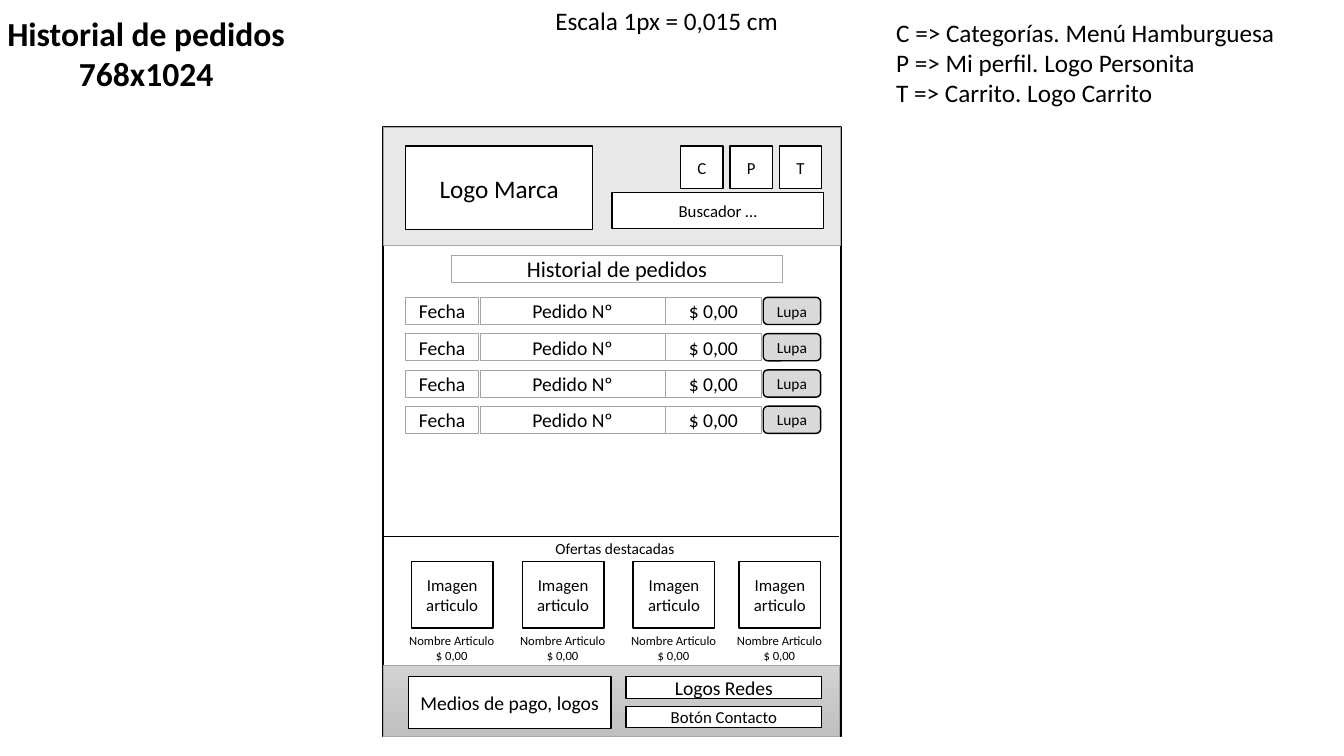
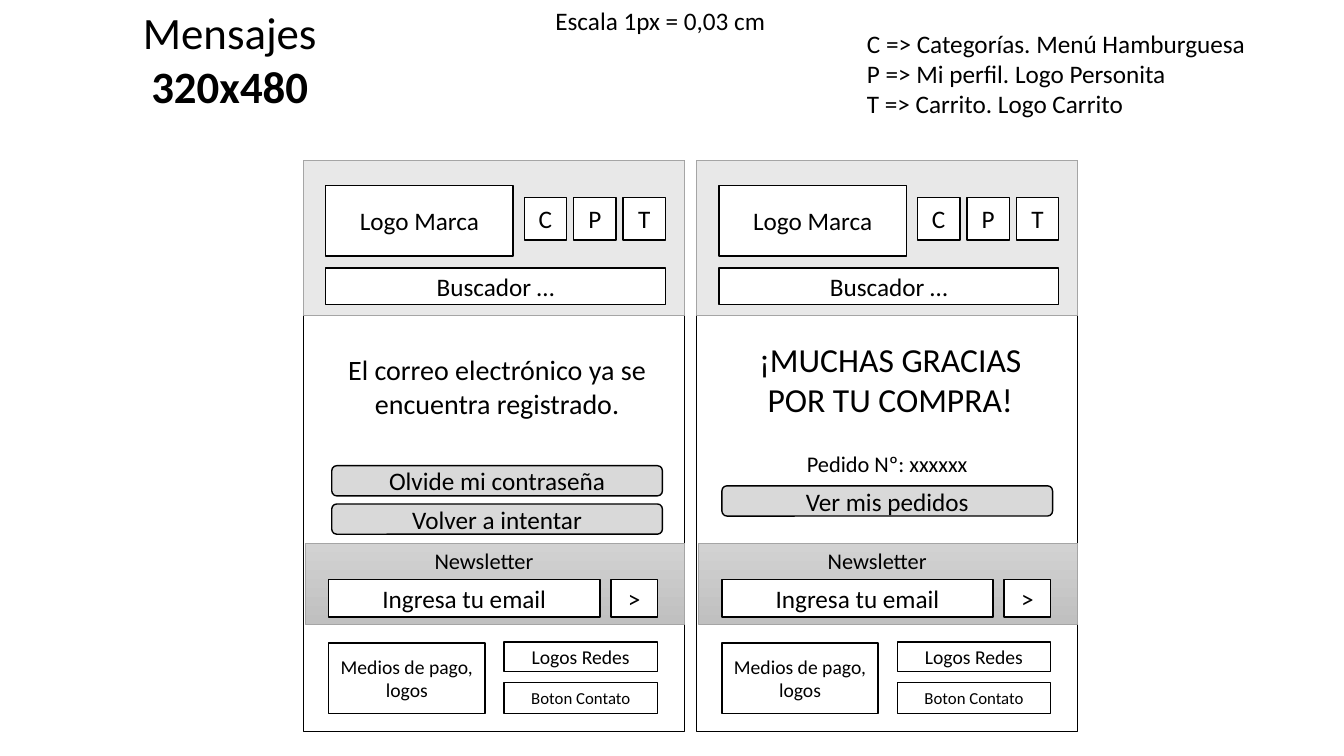
from lxml import etree
from pptx import Presentation
from pptx.dml.color import RGBColor
from pptx.enum.shapes import MSO_CONNECTOR, MSO_SHAPE
from pptx.enum.text import MSO_ANCHOR, PP_ALIGN
from pptx.oxml.ns import qn
from pptx.util import Inches, Pt

RECT, ROUND = MSO_SHAPE.RECTANGLE, MSO_SHAPE.ROUNDED_RECTANGLE
STRAIGHT = MSO_CONNECTOR.STRAIGHT
LEFT, CENTER = PP_ALIGN.LEFT, PP_ALIGN.CENTER
TOP, MIDDLE = MSO_ANCHOR.TOP, MSO_ANCHOR.MIDDLE

FONT = "Calibri"
COLORS = {"ink": "000000", "paper": "FFFFFF", "gray": "D9D9D9",
          "edge": "A5A5A5", "light": "D2D2D2", "dark": "C0C0C0"}

# look: shape, fill, line colour, line width
LOOKS = {
    "box": (RECT, "paper", "ink", 1),
    "cell": (RECT, "paper", "edge", 0.5),
    "button": (ROUND, "gray", "ink", 1),
    "header": (RECT, "gray", "edge", 0.5),
    "band": (RECT, None, "edge", 0.5),
}
HEADER_ALPHA = 58

LEGEND = ["C => Categorías. Menú Hamburguesa",
          "P => Mi perfil. Logo Personita",
          "T => Carrito. Logo Carrito"]
ICONS = "CPT"
ICON_SIDE, ICON_STEP = 0.42, 0.49

# Parts: text, (left, top, width, height), size
TABLET = [
    ("Logo Marca", (4.02, 1.45, 1.86, 0.83), 18),
    ("Buscador …", (6.07, 1.91, 2.1, 0.36), 12),
    ("Medios de pago, logos", (4.05, 6.71, 2.01, 0.52), 14),
    ("Logos Redes", (6.21, 6.71, 1.94, 0.22), 14),
    ("Botón Contacto", (6.21, 7.01, 1.94, 0.21), 12),
]
# Order columns: text, left, width, size, look
ORDER = [
    ("Fecha", 4.02, 0.73, 14, "cell"),
    ("Pedido Nº", 4.76, 1.84, 14, "cell"),
    ("$ 0,00", 6.6, 0.95, 14, "cell"),
    ("Lupa", 7.57, 0.57, 11, "button"),
]
ORDERS, ORDER_TOP, ORDER_STEP = 4, 2.95, 0.36
OFFERS = [4.08, 5.18, 6.28, 7.33]

PHONE = [
    ("Logo Marca", (3.23, 1.84, 1.86, 0.7), 18),
    ("Buscador …", (3.23, 2.66, 3.37, 0.36), 18),
    ("Ingresa tu email", (3.26, 5.75, 2.69, 0.37), 18),
    (">", (6.06, 5.75, 0.46, 0.37), 18),
    ("Medios de pago, logos", (3.26, 6.38, 1.55, 0.7), 14),
    ("Logos Redes", (5, 6.37, 1.52, 0.29), 14),
    ("Boton Contato", (5, 6.77, 1.52, 0.31), 12),
]
PHONE_STEP = 3.9
# Each phone: notes (lines, place, size) and buttons (text, left, top)
MESSAGES = [
    {"notes": [(["El correo electrónico ya se encuentra registrado."],
                (3.29, 3.45, 3.28, 0.77), 20)],
     "buttons": [("Olvide mi contraseña", 3.29, 4.62),
                 ("Volver a intentar", 3.29, 5)]},
    {"notes": [(["¡MUCHAS GRACIAS", "POR TU COMPRA!"],
                (7.19, 3.31, 3.28, 0.91), 24),
               (["Pedido Nº: xxxxxx"], (7.16, 4.42, 3.28, 0.37), 16)],
     "buttons": [("Ver mis pedidos", 7.16, 4.82)]},
]


def rgb(name):
    return RGBColor.from_string(COLORS[name])


def inches(place):
    return [Inches(n) for n in place]


def write(shape, lines, size=18, bold=(), align=CENTER, anchor=TOP, wrap=True):
    """Fill a shape with paragraphs; bold lists the indexes of bold lines."""
    frame = shape.text_frame
    frame.word_wrap = wrap
    frame.vertical_anchor = anchor
    for i, line in enumerate(lines):
        para = frame.paragraphs[0] if i == 0 else frame.add_paragraph()
        para.alignment = align
        run = para.add_run()
        run.text = line
        run.font.name = FONT
        run.font.size = Pt(size)
        run.font.bold = i in bold
        run.font.color.rgb = rgb("ink")


def note(slide, lines, place, size, **style):
    write(slide.shapes.add_textbox(*inches(place)), lines, size, **style)


def box(slide, place, text="", size=18, look="box"):
    kind, fill, edge, width = LOOKS[look]
    shape = slide.shapes.add_shape(kind, *inches(place))
    shape.shadow.inherit = False
    shape.line.color.rgb = rgb(edge)
    shape.line.width = Pt(width)
    if fill:
        shape.fill.solid()
        shape.fill.fore_color.rgb = rgb(fill)
    else:
        shape.fill.gradient()
        shape.fill.gradient_angle = 270
        for stop, name in zip(shape.fill.gradient_stops, ("light", "dark")):
            stop.color.rgb = rgb(name)
    if look == "header":
        color = shape.fill._xPr.find(".//" + qn("a:srgbClr"))
        etree.SubElement(color, qn("a:alpha"), val=str(HEADER_ALPHA * 1000))
    if text:
        write(shape, [text], size, anchor=MIDDLE)


def rule(slide, left, right, y):
    line = slide.shapes.add_connector(
        STRAIGHT, *inches((left, y, right, y)))
    line.line.color.rgb = rgb("ink")
    line.line.width = Pt(0.5)
    etree.SubElement(line._element.spPr, qn("a:effectLst"))


def icons(slide, left, top, size):
    for i, letter in enumerate(ICONS):
        box(slide, (left + i * ICON_STEP, top, ICON_SIDE, ICON_SIDE),
            letter, size)


def start(deck, title, place, size, bold, scale, legend):
    """Add a slide with its title, scale and legend of icons."""
    slide = deck.slides.add_slide(deck.slide_layouts[6])
    note(slide, title, place, size, bold=bold, wrap=False)
    note(slide, [f"Escala 1px = {scale} cm"], (5.41, 0, 2.43, 0.4), 18,
         align=LEFT, wrap=False)
    note(slide, LEGEND, (*legend, 4, 1.01), 18, align=LEFT, wrap=False)
    return slide


def history(deck):
    slide = start(deck, ["Historial de pedidos", "768x1024"],
                  (-0.04, 0.08, 2.98, 0.91), 24, (0, 1), "0,015",
                  (8.79, 0.12))
    box(slide, (3.8, 1.26, 4.54, 6.05))
    box(slide, (3.8, 6.6, 4.53, 0.71), look="band")
    box(slide, (3.8, 1.26, 4.54, 1.17), look="header")
    icons(slide, 6.75, 1.45, 12)
    for text, place, size in TABLET:
        box(slide, place, text, size)
    box(slide, (4.48, 2.53, 3.28, 0.27), "Historial de pedidos", 16, "cell")
    for row in range(ORDERS):
        top = ORDER_TOP + row * ORDER_STEP
        for text, left, width, size, look in ORDER:
            box(slide, (left, top, width, 0.27), text, size, look)
    rule(slide, 3.8, 8.32, 5.32)
    note(slide, ["Ofertas destacadas"], (4.03, 5.3, 4.14, 0.29), 11)
    for left in OFFERS:
        box(slide, (left, 5.57, 0.81, 0.66), "Imagen articulo", 12)
        note(slide, ["Nombre Articulo", "$ 0,00"],
             (left - 0.14, 6.23, 1.08, 0.22), 9)


def messages(deck):
    slide = start(deck, ["Mensajes", "320x480"], (1.31, 0, 1.94, 1.18), 32,
                  (1,), "0,03", (8.5, 0.23))
    for i, message in enumerate(MESSAGES):
        dx = i * PHONE_STEP
        box(slide, (3.01 + dx, 1.59, 3.78, 5.67))
        box(slide, (3.01 + dx, 1.59, 3.78, 1.54), look="header")
        box(slide, (3.03 + dx, 5.39, 3.76, 0.8), look="band")
        icons(slide, 5.2 + dx, 1.96, 18)
        for text, (left, *rest), size in PHONE:
            box(slide, (left + dx, *rest), text, size)
        note(slide, ["Newsletter"], (3.16 + dx, 5.38, 3.28, 0.37), 16)
        for lines, place, size in message["notes"]:
            note(slide, lines, place, size)
        for text, left, top in message["buttons"]:
            box(slide, (left, top, 3.28, 0.3), text, 18, "button")


def main():
    deck = Presentation()
    deck.slide_width, deck.slide_height = Inches(13.33), Inches(7.5)
    history(deck)
    messages(deck)
    deck.save("out.pptx")


if __name__ == "__main__":
    main()
